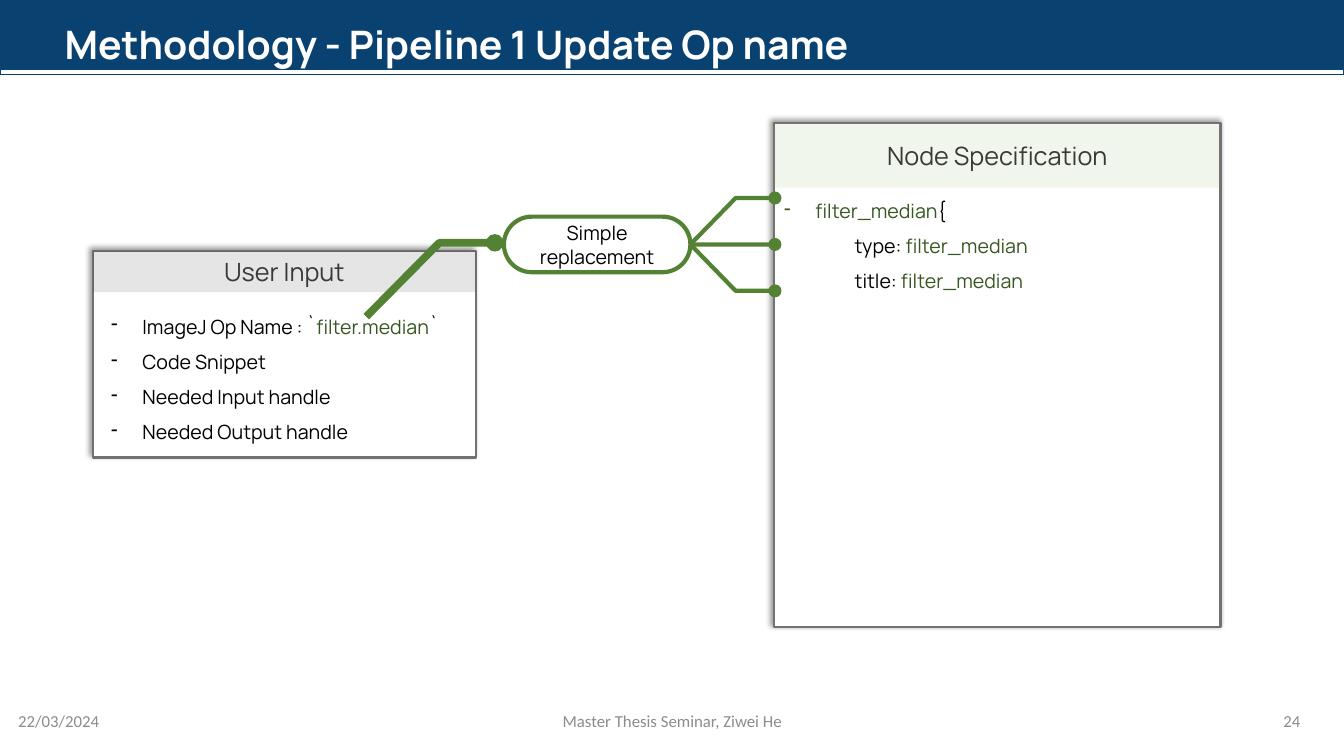
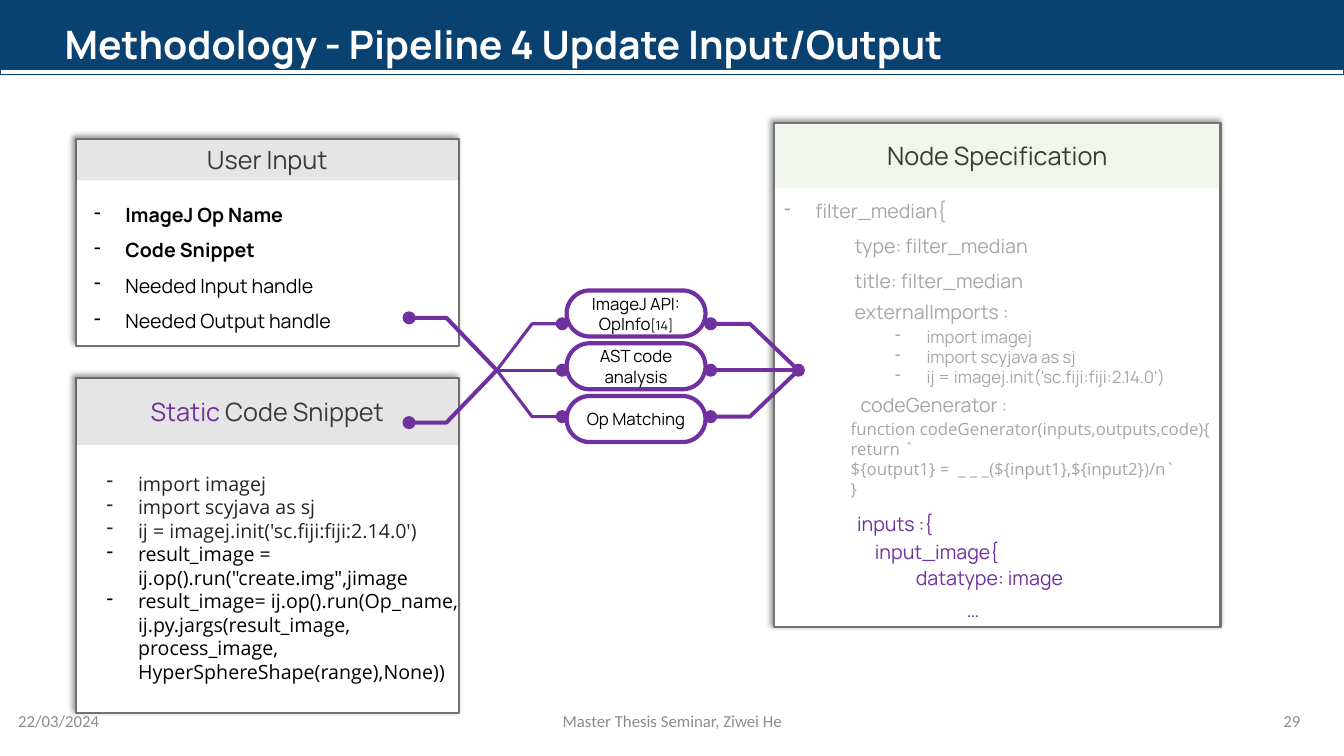
from lxml import etree
from pptx import Presentation
from pptx.dml.color import RGBColor
from pptx.enum.shapes import MSO_CONNECTOR, MSO_SHAPE
from pptx.enum.text import MSO_ANCHOR, MSO_AUTO_SIZE, PP_ALIGN
from pptx.oxml.ns import qn
from pptx.util import Cm, Pt

RECTANGLE, PILL, ELLIPSE = MSO_SHAPE.RECTANGLE, MSO_SHAPE.ROUNDED_RECTANGLE, MSO_SHAPE.OVAL
STRAIGHT = MSO_CONNECTOR.STRAIGHT
TOP, MIDDLE = MSO_ANCHOR.TOP, MSO_ANCHOR.MIDDLE
LEFT, CENTER, RIGHT = PP_ALIGN.LEFT, PP_ALIGN.CENTER, PP_ALIGN.RIGHT

NAVY = RGBColor(0x09, 0x42, 0x70)
WHITE = RGBColor(0xFF, 0xFF, 0xFF)
BLACK = RGBColor(0x00, 0x00, 0x00)
CHARCOAL = RGBColor(0x3B, 0x38, 0x38)
INK = RGBColor(0x26, 0x26, 0x26)
BORDER = RGBColor(0x76, 0x71, 0x71)
FOOTER_GREY = RGBColor(0x8C, 0x8C, 0x8C)
FADED = RGBColor(0xA6, 0xA6, 0xA6)
GREEN = RGBColor(0x54, 0x82, 0x35)
DARK_GREEN = RGBColor(0x38, 0x57, 0x23)
LIGHT_GREEN = RGBColor(0x70, 0xAD, 0x47)
PURPLE = RGBColor(0x70, 0x30, 0xA0)

# Font formats
TITLE = {"name": "Manrope", "size": Pt(28), "bold": True, "color": WHITE}
HEADER = {"name": "Manrope", "size": Pt(18), "color": CHARCOAL}
BODY = {"name": "Manrope", "size": Pt(14), "color": BLACK}
SMALL = {**BODY, "size": Pt(12)}
CODE = {"name": "Open Sans", "size": Pt(14), "color": BLACK}
FOOTER = {"name": "Calibri", "size": Pt(12), "color": FOOTER_GREY}
BOLD, GREY, VIOLET = {"bold": True}, {"color": FADED}, {"color": PURPLE}

# Paragraph styles: left indent in cm, dash bullet
PLAIN, DASH, NESTED = (0, False), (0.79, True), (1.78, False)

DOT = 0.33
FAN_STEP = 1.17


def add_shape(slide, kind, box, fill=None, line=None, weight=1.0):
    shape = slide.shapes.add_shape(kind, *[Cm(value) for value in box])
    shape.shadow.inherit = False
    if fill is None:
        shape.fill.background()
    else:
        shape.fill.solid()
        shape.fill.fore_color.rgb = fill
    if line is None:
        shape.line.fill.background()
    else:
        shape.line.color.rgb = line
        shape.line.width = Pt(weight)
    return shape


def write(shape, paragraphs, base, align=LEFT, anchor=TOP, spacing=None):
    """Fill a shape with paragraphs, each a (style, runs) pair."""
    frame = shape.text_frame
    settings = {"word_wrap": True, "auto_size": MSO_AUTO_SIZE.NONE, "vertical_anchor": anchor,
                "margin_left": 0, "margin_right": 0, "margin_top": 0, "margin_bottom": 0}
    for name, value in settings.items():
        setattr(frame, name, value)
    for index, ((indent, bullet), runs) in enumerate(paragraphs):
        paragraph = frame.add_paragraph() if index else frame.paragraphs[0]
        properties = paragraph._p.get_or_add_pPr()
        properties.set("marL", str(Cm(indent)))
        if bullet:
            properties.set("indent", str(-Cm(indent)))
            etree.SubElement(properties, qn("a:buChar"), char="-")
        paragraph.alignment = align
        if spacing:
            paragraph.line_spacing = spacing
        for text, changes in runs:
            run = paragraph.add_run()
            run.text = text
            for name, value in {**base, **changes}.items():
                if name == "color":
                    run.font.color.rgb = value
                else:
                    setattr(run.font, name, value)


# Contents. Panels: box, header height, header tint, header runs.
# Texts: box, base format, line spacing, paragraphs.
# Fans: hub x, hub y, bend x, dot x, line weight, pill joined at the hub.
# Feeders: points from the dot on, line weight, dot diameter.
NODE_PANEL = ((19.51, 3.1, 11.25, 12.7), 1.63, LIGHT_GREEN, [("Node Specification", {})])
FADED_LINES = [
    (21.54, 7.26, "externalImports :", GREY),
    (21.69, 9.6, "codeGenerator :", GREY),
    (21.6, 12.6, "inputs :{", VIOLET),
    (22.05, 13.31, "input_image{", VIOLET),
    (23.08, 13.97, "datatype: image", VIOLET),
    (24.37, 14.78, "…", VIOLET),
]
IMPORTS = ["import imagej", "import scyjava as sj", "ij = imagej.init('sc.fiji:fiji:2.14.0')"]
CODE_GENERATOR = ["function codeGenerator(inputs,outputs,code){", "return `",
                  "${output1} =  _ _ _(${input1},${input2})/n`", "}"]
OPERATIONS = ['result_image = ij.op().run("create.img",jimage',
              "result_image= ij.op().run(Op_name, ij.py.jargs(result_image, process_image, "
              "HyperSphereShape(range),None))"]

pages = [
    {
        "title": "Methodology - Pipeline 1 Update Op name",
        "number": "24",
        "accent": GREEN,
        "name_color": DARK_GREEN,
        "label_color": BLACK,
        "input_corner": (2.34, 6.32),
        "inputs": [[("ImageJ Op Name : `", {}), ("filter.median", {"color": DARK_GREEN}), ("`", {})],
                   [("Code Snippet", {})]],
        "panels": [],
        "texts": [],
        "pills": [((12.7, 5.46, 4.7, 1.4), BODY, [("Simple replacement", {})])],
        "fans": [(17.4, 6.16, 18.54, 19.53, 3, 0)],
        "feeders": [([(12.47, 6.12), (11.07, 6.12), (9.23, 7.98)], 5.5, 0.44)],
        "hub_dots": [],
    },
    {
        "title": "Methodology - Pipeline 4 Update Input/Output",
        "number": "29",
        "accent": PURPLE,
        "name_color": FADED,
        "label_color": FADED,
        "input_corner": (1.91, 3.51),
        "inputs": [[("ImageJ Op Name", BOLD)], [("Code Snippet", BOLD)]],
        "panels": [((1.91, 9.53, 9.65, 8.43), 1.68, BLACK,
                    [("Static", VIOLET), (" Code Snippet", {})])],
        "texts": [
            *[((left, top, 6, 0.9), BODY, 1.5, [(PLAIN, [(text, color)])])
              for left, top, text, color in FADED_LINES],
            ((22.56, 8.23, 7.9, 1.6), SMALL, None, [(DASH, [(text, GREY)]) for text in IMPORTS]),
            ((21.44, 10.54, 9.22, 2.1), {**CODE, "size": Pt(12)}, None,
             [(PLAIN, [(text, GREY)]) for text in CODE_GENERATOR]),
            ((2.69, 11.88, 8.87, 5.4), CODE, None,
             [(DASH, [(text, {"color": INK})]) for text in IMPORTS]
             + [(DASH, [(text, {})]) for text in OPERATIONS]),
        ],
        "pills": [((14.28, 7.32 + 1.33 * row, 3.5, 1.16), SMALL, runs) for row, runs in enumerate([
            [("ImageJ API: OpInfo", {}), ("[14]", {"size": Pt(9)})],
            [("AST code analysis", {})],
            [("Op Matching", {})]])],
        "fans": [(12.52, 9.33, 13.41, 14.17, 2.2, None), (20.12, 9.33, 18.9, 17.91, 2.8, None)],
        "feeders": [([(10.31, 9.33 + rise), (11.25, 9.33 + rise), (12.52, 9.33)], 2.9, DOT)
                    for rise in (-1.32, 1.32)],
        "hub_dots": [(20.12, 9.33)],
    },
]

presentation = Presentation()
presentation.slide_width, presentation.slide_height = Cm(33.87), Cm(19.05)
layout = presentation.slide_layouts[5]

for page_index, page in enumerate(pages):
    slide = presentation.slides.add_slide(layout)
    accent = page["accent"]

    # Title bands, kept on the shared layout
    if page_index == 0:
        for box, fill in (((0, 0, 33.87, 1.73), NAVY), ((0, 1.75, 33.87, 0.13), WHITE)):
            band = add_shape(slide, RECTANGLE, box, fill, NAVY)
            layout.shapes._spTree.append(band._element)

    # Title
    title = slide.shapes.title
    title.left, title.top, title.width, title.height = Cm(1.63), Cm(0.38), Cm(24.9), Cm(1.45)
    write(title, [(PLAIN, [(page["title"], {})])], TITLE, anchor=MIDDLE)

    # Panels with a shadow and a tinted header
    input_left, input_top = page["input_corner"]
    input_panel = ((input_left, input_top, 9.65, 5.21), 1.04, BLACK, [("User Input", {})])
    for box, header_height, tint, runs in [input_panel, NODE_PANEL, *page["panels"]]:
        panel = add_shape(slide, RECTANGLE, box, WHITE, BORDER, 1.5)
        effects = panel._element.spPr.find(qn("a:effectLst"))
        shadow = etree.SubElement(effects, qn("a:outerShdw"), blurRad=str(Pt(4)),
                                  dist=str(Pt(3)), dir="13500000", algn="br", rotWithShape="0")
        shadow_color = etree.SubElement(shadow, qn("a:srgbClr"), val="000000")
        etree.SubElement(shadow_color, qn("a:alpha"), val="40000")
        header = add_shape(slide, RECTANGLE, (*box[:3], header_height), tint)
        header_color = header._element.spPr.find(".//" + qn("a:srgbClr"))
        etree.SubElement(header_color, qn("a:alpha"), val="10000")
        write(header, [(PLAIN, runs)], HEADER, CENTER, MIDDLE)

    # Panel texts
    input_runs = page["inputs"] + [[("Needed Input handle", {})], [("Needed Output handle", {})]]
    name, label = {"color": page["name_color"]}, {"color": page["label_color"]}
    node_paragraphs = [(DASH, [("filter_median", name), ("{", label)])]
    node_paragraphs += [(NESTED, [(key, label), ("filter_median", name)])
                        for key in ("type: ", "title: ")]
    texts = [
        ((input_left + 0.46, input_top + 1.31, 8.9, 3.6), BODY, 1.5,
         [(DASH, runs) for runs in input_runs]),
        ((19.76, 4.71, 10.5, 2.7), BODY, 1.5, node_paragraphs),
    ]
    for box, base, spacing, paragraphs in texts + page["texts"]:
        text_box = slide.shapes.add_textbox(*[Cm(value) for value in box])
        write(text_box, paragraphs, base, spacing=spacing)

    # Step pills
    pills = []
    for box, base, runs in page["pills"]:
        pill = add_shape(slide, PILL, box, None, accent, 3)
        pill.adjustments[0] = 0.5
        write(pill, [(PLAIN, runs)], base, CENTER, MIDDLE)
        pills.append(pill)

    # Bent lines, and the straight line in the middle of each fan
    bent_lines = list(page["feeders"])
    dots = [(center, DOT) for center in page["hub_dots"]]
    for hub_x, hub_y, bend_x, dot_x, weight, joined in page["fans"]:
        for y in (hub_y - FAN_STEP, hub_y + FAN_STEP):
            bent_lines.append(([(dot_x, y), (bend_x, y), (hub_x, hub_y)], weight, DOT))
        connector = slide.shapes.add_connector(STRAIGHT, Cm(dot_x), Cm(hub_y), Cm(hub_x), Cm(hub_y))
        connector.line.color.rgb = accent
        connector.line.width = Pt(weight)
        etree.SubElement(connector._element.spPr, qn("a:effectLst"))
        if joined is not None:
            connector.end_connect(pills[joined], 3)
        dots.append(((dot_x, hub_y), DOT))
    for points, weight, diameter in bent_lines:
        corners = [(Cm(x), Cm(y)) for x, y in points]
        builder = slide.shapes.build_freeform(*corners[0])
        builder.add_line_segments(corners[1:], close=False)
        bent_line = builder.convert_to_shape()
        bent_line.shadow.inherit = False
        bent_line.fill.background()
        bent_line.line.color.rgb = accent
        bent_line.line.width = Pt(weight)
        dots.append((points[0], diameter))

    # Dots at the line ends
    for (x, y), diameter in dots:
        add_shape(slide, ELLIPSE, (x - diameter / 2, y - diameter / 2, diameter, diameter), accent)

    # Footer
    for left, width, text, align in ((0.46, 3, "22/03/2024", LEFT),
                                     (11.23, 11.43, "Master Thesis Seminar, Ziwei He", CENTER),
                                     (31.77, 1, page["number"], RIGHT)):
        footer = slide.shapes.add_textbox(Cm(left), Cm(17.65), Cm(width), Cm(1.02))
        write(footer, [(PLAIN, [(text, {})])], FOOTER, align, MIDDLE)

presentation.save("out.pptx")
